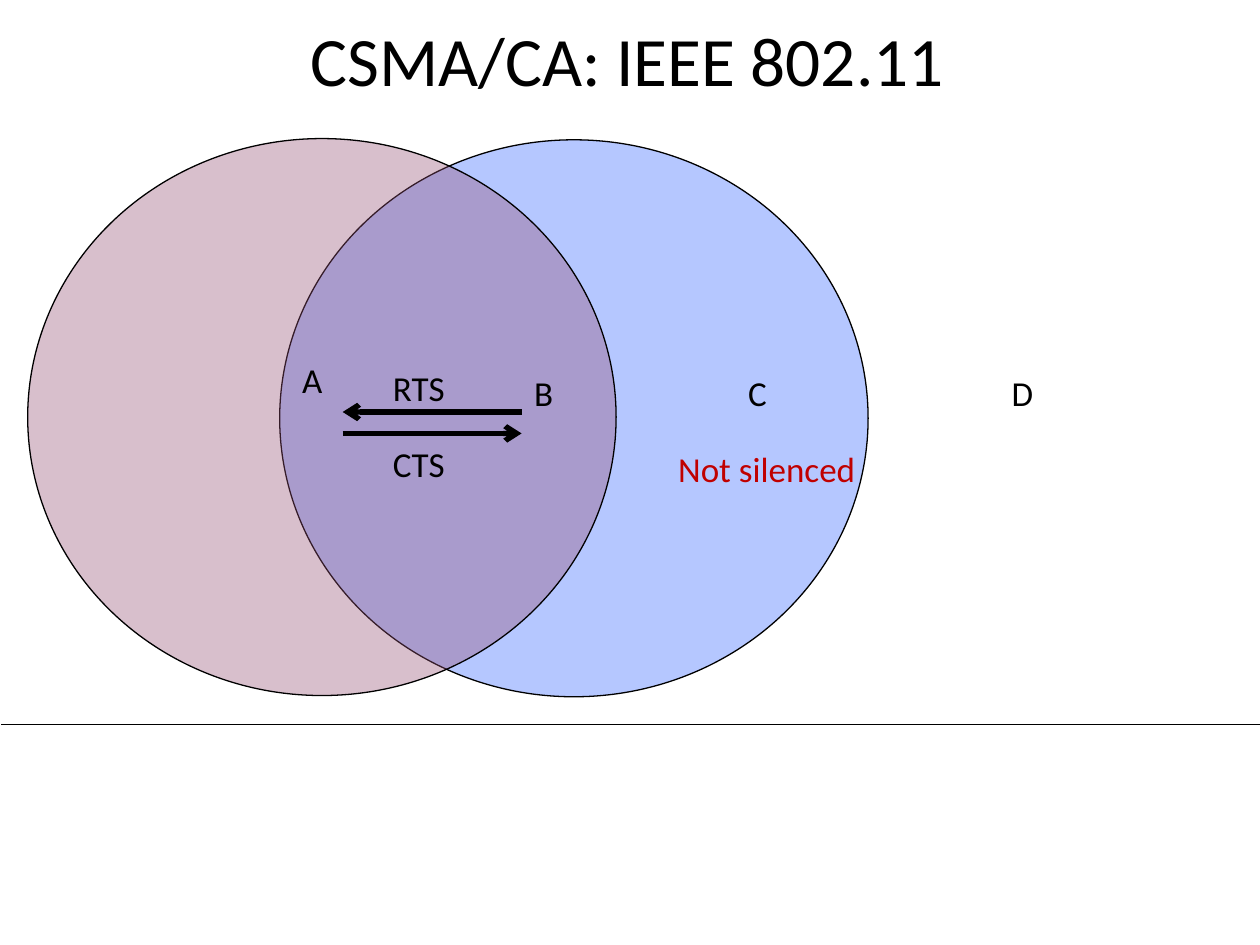
from lxml import etree
from pptx import Presentation
from pptx.dml.color import RGBColor
from pptx.enum.shapes import MSO_CONNECTOR, MSO_SHAPE
from pptx.enum.text import MSO_ANCHOR, MSO_AUTO_SIZE, PP_ALIGN
from pptx.oxml.ns import qn
from pptx.util import Inches, Pt

STRAIGHT = MSO_CONNECTOR.STRAIGHT
ELLIPSE = MSO_SHAPE.OVAL
MIDDLE = MSO_ANCHOR.MIDDLE
GROW = MSO_AUTO_SIZE.SHAPE_TO_FIT_TEXT
LEFT, CENTER = PP_ALIGN.LEFT, PP_ALIGN.CENTER
TITLE_ONLY = 5

BLACK, RED, BLUE, PLUM = "000000", "C00000", "3366FF", "954F72"
RANGE_OPACITY = 36


def color(hex_value):
    return RGBColor.from_string(hex_value)


def set_values(target, values):
    for name, value in values.items():
        setattr(target, name, value)


def set_font(font, size, hex_value=BLACK):
    set_values(font, {"name": "Calibri", "size": Pt(size), "bold": False})
    font.color.rgb = color(hex_value)


def add_title(slide, box, text):
    title = slide.shapes.title
    left, top, width, height = (Inches(value) for value in box)
    set_values(title, {"left": left, "top": top, "width": width, "height": height})
    frame = title.text_frame
    set_values(frame, {"text": text, "vertical_anchor": MIDDLE, "word_wrap": True,
                       "auto_size": MSO_AUTO_SIZE.NONE})
    para = frame.paragraphs[0]
    set_values(para, {"alignment": CENTER, "line_spacing": 0.9})
    set_font(para.runs[0].font, 39.6)


def add_label(slide, box, text, hex_value=BLACK, align=LEFT, wrap=True):
    label = slide.shapes.add_textbox(*(Inches(value) for value in box))
    frame = label.text_frame
    set_values(frame, {"text": text, "word_wrap": wrap, "auto_size": GROW})
    para = frame.paragraphs[0]
    para.alignment = align
    set_font(para.runs[0].font, 20, hex_value)


def add_range(slide, box, hex_value):
    circle = slide.shapes.add_shape(ELLIPSE, *(Inches(value) for value in box))
    circle.shadow.inherit = False
    circle.fill.solid()
    circle.fill.fore_color.rgb = color(hex_value)
    fill_color = circle.fill._xPr.find(qn("a:solidFill"))[0]
    etree.SubElement(fill_color, qn("a:alpha"), val=str(RANGE_OPACITY * 1000))
    circle.line.color.rgb = color(BLACK)
    circle.line.width = Pt(0.75)


def add_line(slide, left, right, y, width, arrow_end=None):
    line = slide.shapes.add_connector(
        STRAIGHT, Inches(left), Inches(y), Inches(right), Inches(y))
    line.line.color.rgb = color(BLACK)
    line.line.width = Pt(width)
    if arrow_end:
        etree.SubElement(line.line._get_or_add_ln(), qn(arrow_end), type="arrow")
    etree.SubElement(line._element.spPr, qn("a:effectLst"))


def add_ranges(slide, box):
    """Two overlapping radio ranges: B on the right, A on the left."""
    left, top, width, height = box
    add_range(slide, (left + 2, top + 0.01, width, height), BLUE)
    add_range(slide, (left, top, width, height), PLUM)


def add_stations(slide, top):
    add_label(slide, (2.3, top - 0.1, 0.39, 0.44), "A", wrap=False)
    for text, left in (("B", 4.14), ("C", 5.84), ("D", 7.93)):
        add_label(slide, (left, top, 0.43, 0.43), text)
    add_label(slide, (5.19, top + 0.6, 1.79, 0.44), "Not silenced", RED, CENTER)


def add_handshake(slide, box):
    """RTS from B to A above, CTS from A to B below."""
    left, top, width, height = box
    messages = (("RTS", top, 0.41, "a:headEnd"),
                ("CTS", top + height - 0.44, -0.02, "a:tailEnd"))
    for text, label_top, line_offset, arrow_end in messages:
        add_label(slide, (left + 0.3, label_top, 0.7, 0.44), text, wrap=False)
        add_line(slide, left, left + width, label_top + line_offset, 3, arrow_end)


def main():
    deck = Presentation()
    deck.slide_width, deck.slide_height = Inches(10), Inches(7.5)
    slide = deck.slides.add_slide(deck.slide_layouts[TITLE_ONLY])

    add_title(slide, (0.67, 0.14, 8.62, 0.73), "CSMA/CA: IEEE 802.11")
    # Rule that closes the diagram area
    add_line(slide, 0.01, 10.01, 5.75, 0.5)
    # Radio ranges, stations and the messages between A and B
    add_ranges(slide, (0.22, 1.1, 4.67, 4.42))
    add_stations(slide, 2.9)
    add_handshake(slide, (2.72, 2.86, 1.42, 1.04))

    deck.save("out.pptx")


if __name__ == "__main__":
    main()
